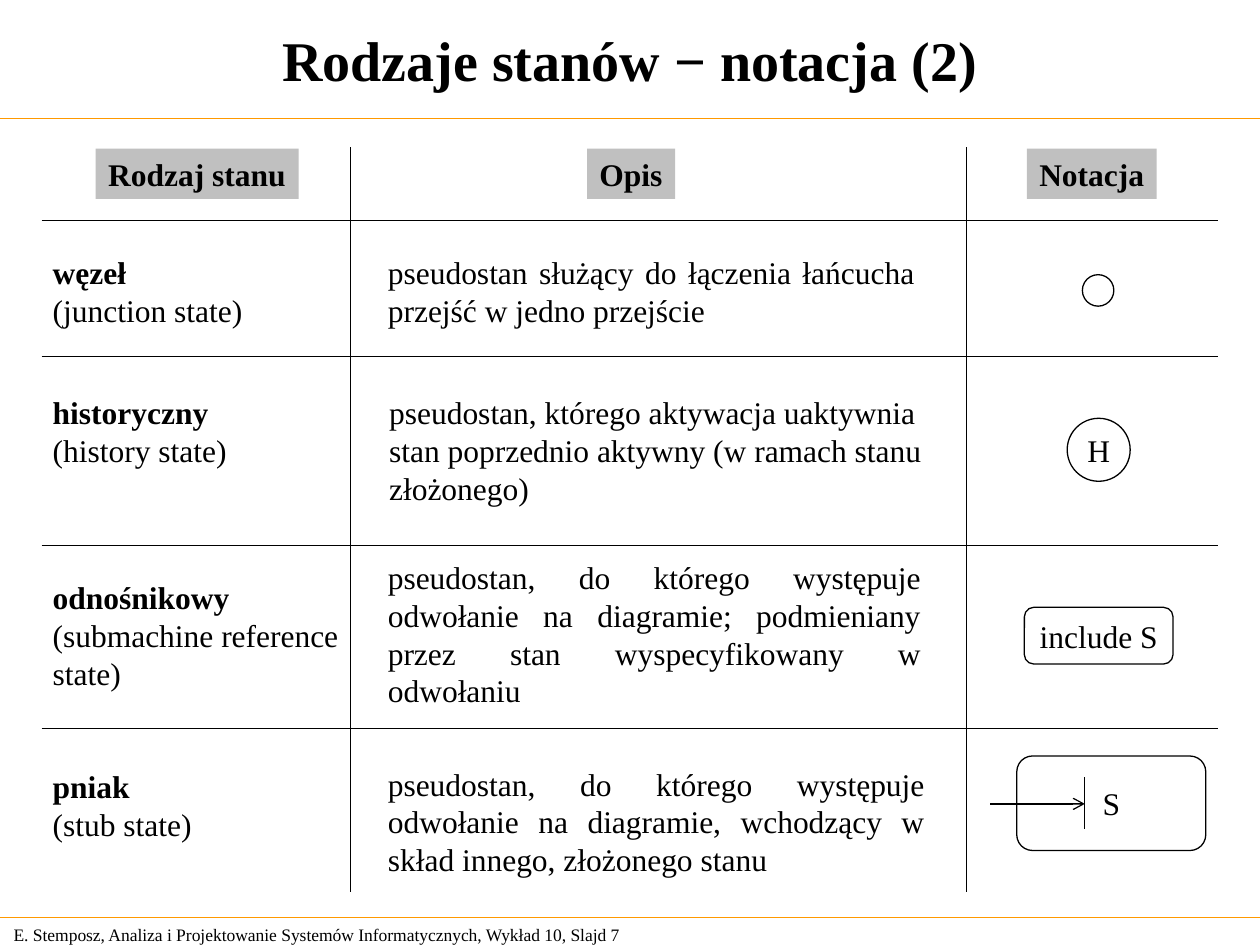
import pptx
import pptx.dml.color
import pptx.enum.shapes
import pptx.enum.text
import pptx.oxml.ns
import pptx.util
from lxml import etree

Inches = pptx.util.Inches
Align = pptx.enum.text.PP_ALIGN
Anchor = pptx.enum.text.MSO_ANCHOR
Shape = pptx.enum.shapes.MSO_SHAPE


def color(value):
    return pptx.dml.color.RGBColor.from_string(value)


def write_text(shape, text, size=18, bold=False, bold_first=False,
               align=Align.LEFT, anchor=Anchor.TOP, wrap=True):
    frame = shape.text_frame
    frame.auto_size = pptx.enum.text.MSO_AUTO_SIZE.NONE
    frame.word_wrap = wrap
    frame.vertical_anchor = anchor
    frame.text = text
    for index, paragraph in enumerate(frame.paragraphs):
        paragraph.alignment = align
        for run in paragraph.runs:
            run.font.name = "Times New Roman"
            run.font.size = pptx.util.Pt(size)
            run.font.bold = bold or (bold_first and index == 0)
            run.font.color.rgb = color("000000")


class StateSlide:
    ink = "000000"
    paper = "FFFFFF"
    header_fill = "C0C0C0"
    accent = "FF9900"
    line_width = 0.75

    def __init__(self, presentation):
        self.slide = presentation.slides.add_slide(presentation.slide_layouts[5])

    def title(self, text, left, top, width, height):
        shape = self.slide.shapes.title
        shape.left, shape.top = Inches(left), Inches(top)
        shape.width, shape.height = Inches(width), Inches(height)
        write_text(shape, text, size=32, bold=True, align=Align.CENTER, anchor=Anchor.MIDDLE)

    def text(self, text, left, top, width, height, **text_format):
        box = self.slide.shapes.add_textbox(
            Inches(left), Inches(top), Inches(width), Inches(height))
        write_text(box, text, **text_format)

    def box(self, kind, left, top, width, height, fill=paper, outlined=True):
        shape = self.slide.shapes.add_shape(
            kind, Inches(left), Inches(top), Inches(width), Inches(height))
        shape.shadow.inherit = False
        shape.fill.solid()
        shape.fill.fore_color.rgb = color(fill)
        if outlined:
            shape.line.color.rgb = color(self.ink)
            shape.line.width = pptx.util.Pt(self.line_width)
        else:
            shape.line.fill.background()
        return shape

    def header(self, text, left, width):
        shape = self.box(Shape.RECTANGLE, left, 1.18, width, 0.4, self.header_fill, False)
        write_text(shape, text, bold=True, wrap=False)

    def state(self, kind, left, top, width, height, label=""):
        shape = self.box(kind, left, top, width, height)
        if label:
            write_text(shape, label, align=Align.CENTER, anchor=Anchor.MIDDLE, wrap=False)

    def line(self, x1, y1, x2, y2, stroke=ink, arrow=False):
        connector = self.slide.shapes.add_connector(
            pptx.enum.shapes.MSO_CONNECTOR.STRAIGHT,
            Inches(x1), Inches(y1), Inches(x2), Inches(y2))
        connector.line.color.rgb = color(stroke)
        connector.line.width = pptx.util.Pt(self.line_width)
        if arrow:
            outline = connector.line._get_or_add_ln()
            etree.SubElement(outline, pptx.oxml.ns.qn("a:tailEnd"), type="arrow")
        etree.SubElement(connector._element.spPr, pptx.oxml.ns.qn("a:effectLst"))


def main():
    presentation = pptx.Presentation()
    presentation.slide_width = Inches(10)
    presentation.slide_height = Inches(7.5)
    page = StateSlide(presentation)

    page.text("E. Stemposz, Analiza i Projektowanie Systemów Informatycznych, Wykład 10, Slajd 7",
              0.01, 7.28, 5.24, 0.27, size=10, anchor=Anchor.MIDDLE)
    for y in (0.94, 7.28):
        page.line(0, y, 10, y, page.accent)
    page.title("Rodzaje stanów − notacja (2)", 0.04, 0.04, 9.92, 0.85)

    for heading, left, width in (
            ("Rodzaj stanu", 0.76, 1.61), ("Opis", 4.66, 0.7), ("Notacja", 8.15, 1.03)):
        page.header(heading, left, width)

    names = (
        ("węzeł\n(junction state)", 1.96, 1.7, 0.7),
        ("historyczny\n(history state)", 3.07, 1.58, 0.7),
        ("odnośnikowy\n(submachine reference\nstate)", 4.54, 2.47, 1),
        ("pniak\n(stub state)", 6.04, 1.3, 0.7),
    )
    for text, top, width, height in names:
        page.text(text, 0.32, top, width, height, bold_first=True, wrap=False)

    descriptions = (
        ("pseudostan służący do łączenia łańcucha przejść w jedno przejście",
         1.96, 4.38, 0.7),
        ("pseudostan, do którego występuje odwołanie na diagramie; "
         "podmieniany przez stan wyspecyfikowany w odwołaniu", 4.38, 4.43, 1.3),
        ("pseudostan, do którego występuje odwołanie na diagramie, "
         "wchodzący w skład innego, złożonego stanu", 6.02, 4.46, 1),
    )
    for text, top, width, height in descriptions:
        page.text(text, 2.98, top, width, height, align=Align.JUSTIFY)
    page.text("pseudostan, którego aktywacja uaktywnia\n"
              "stan poprzednio aktywny (w ramach stanu\nzłożonego)",
              2.99, 3.07, 4.43, 1, wrap=False)

    page.state(Shape.OVAL, 8.59, 2.18, 0.25, 0.25)
    page.state(Shape.OVAL, 8.47, 3.32, 0.5, 0.5, "H")
    page.state(Shape.ROUNDED_RECTANGLE, 8.13, 4.82, 1.18, 0.45, "include S")
    page.state(Shape.ROUNDED_RECTANGLE, 8.07, 6, 1.5, 0.75, "S")
    page.line(8.61, 6.17, 8.61, 6.58)
    page.line(7.86, 6.38, 8.61, 6.38, arrow=True)

    for y in (1.75, 2.83, 4.33, 5.78):
        page.line(0.33, y, 9.67, y)
    for x in (2.78, 7.67):
        page.line(x, 1.17, x, 7.08)

    presentation.save("out.pptx")


if __name__ == "__main__":
    main()
